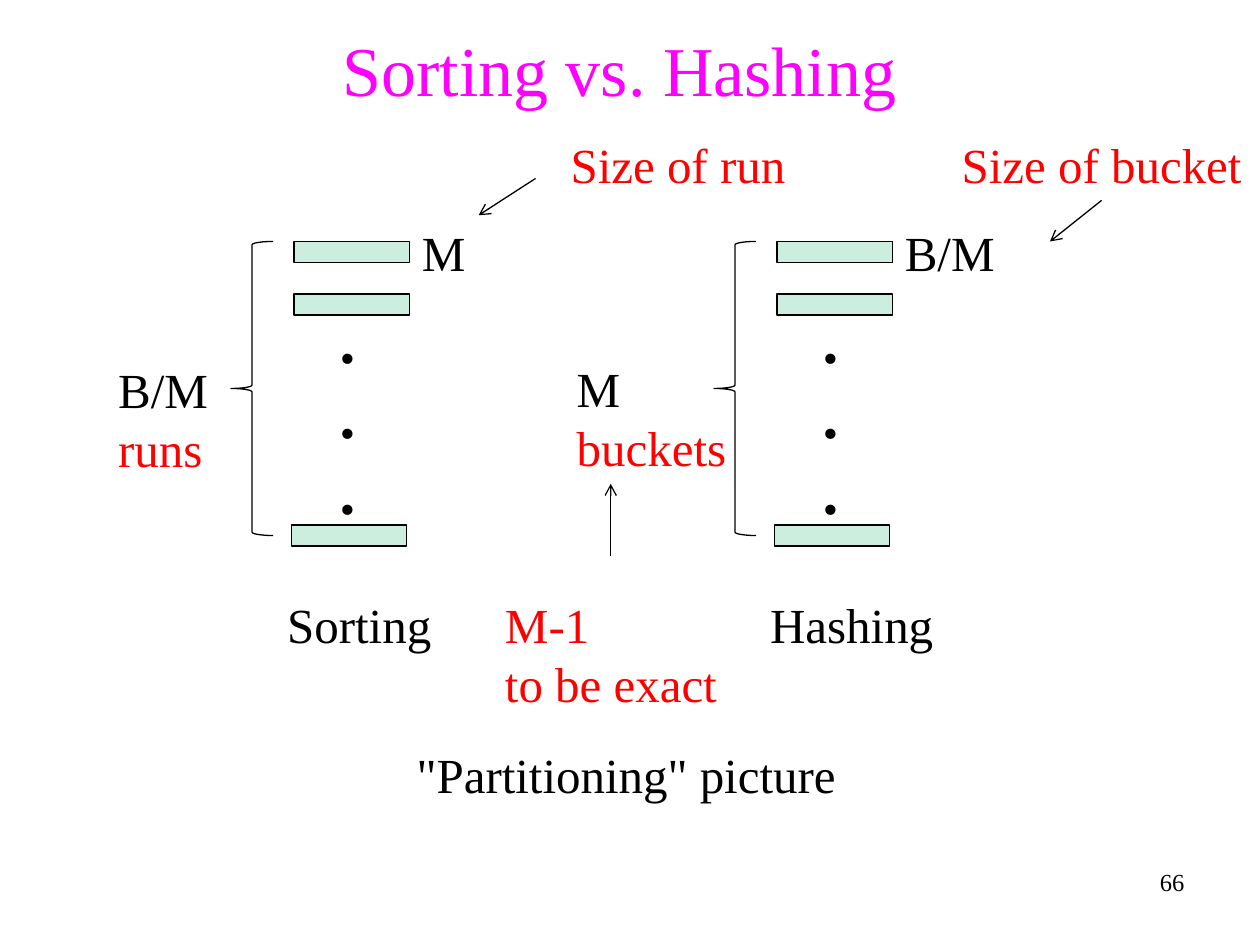
from lxml.etree import SubElement
from pptx import Presentation
from pptx.dml.color import RGBColor
from pptx.enum.shapes import MSO_CONNECTOR, MSO_SHAPE
from pptx.enum.text import MSO_ANCHOR, MSO_AUTO_SIZE, PP_ALIGN
from pptx.oxml.ns import qn
from pptx.util import Pt

FONT = "Times New Roman"
BLACK, RED, MAGENTA, MINT = "000000", "FF0000", "FF00FF", "CCEEDF"
LINE_WIDTH = 0.75
LINE_PITCH = 1.2
COLUMN_STEP = 276


def colour(value):
    return RGBColor.from_string(value)


def points(*values):
    return [Pt(value) for value in values]


def apply_format(target, values):
    for name, value in values.items():
        setattr(target, name, value)


def style_span(span, size, shade, bold=False):
    apply_format(span.font, {"name": FONT, "size": Pt(size), "bold": bold})
    span.font.color.rgb = colour(shade)


def style_line(line):
    line.width = Pt(LINE_WIDTH)
    line.color.rgb = colour(BLACK)


def set_title(page, text):
    title = page.shapes.title
    left, top, width, height = points(12, 12, 684, 54)
    apply_format(title, {"left": left, "top": top, "width": width, "height": height})
    apply_format(title.text_frame, {
        "auto_size": MSO_AUTO_SIZE.NONE,
        "vertical_anchor": MSO_ANCHOR.MIDDLE,
        "word_wrap": True,
    })
    paragraph = title.text_frame.paragraphs[0]
    paragraph.alignment = PP_ALIGN.CENTER
    span = paragraph.add_run()
    span.text = text
    style_span(span, 40, MAGENTA)


def add_text(page, frame, lines, size=28, bold=False, align=PP_ALIGN.LEFT, wrap=False):
    """Add a text box; lines holds one (text, colour) pair per paragraph."""
    box = page.shapes.add_textbox(*points(*frame))
    apply_format(box.text_frame, {
        "word_wrap": wrap,
        "auto_size": MSO_AUTO_SIZE.NONE if wrap else MSO_AUTO_SIZE.SHAPE_TO_FIT_TEXT,
    })
    for index, (text, shade) in enumerate(lines):
        paragraph = box.text_frame.add_paragraph() if index else box.text_frame.paragraphs[0]
        apply_format(paragraph, {"alignment": align, "line_spacing": Pt(size * LINE_PITCH)})
        span = paragraph.add_run()
        span.text = text
        style_span(span, size, shade, bold)


def add_bar(page, left, top):
    bar = page.shapes.add_shape(MSO_SHAPE.RECTANGLE, *points(left, top, 66, 12))
    bar.shadow.inherit = False
    bar.fill.solid()
    bar.fill.fore_color.rgb = colour(MINT)
    style_line(bar.line)


def add_brace(page, left):
    brace = page.shapes.add_shape(MSO_SHAPE.LEFT_BRACE, *points(left, 138, 24, 168))
    brace.shadow.inherit = False
    brace.adjustments[0] = 0.08
    brace.fill.background()
    style_line(brace.line)


def add_arrow(page, start, end):
    arrow = page.shapes.add_connector(MSO_CONNECTOR.STRAIGHT, *points(*start, *end))
    style_line(arrow.line)
    properties = arrow._element.spPr
    SubElement(properties.find(qn("a:ln")), qn("a:tailEnd"), type="arrow")
    SubElement(properties, qn("a:effectLst"))


def add_partitions(page, offset, name, name_width, size, size_width):
    """Draw one column: braced stack of partitions with its name and partition size."""
    add_text(page, (157 + offset, 336.5, name_width, 41), [(name, BLACK)])
    for left, top in ((168, 138), (168, 168), (166.5, 300)):
        add_bar(page, left + offset, top)
    add_text(page, (187 + offset, 168, 24, 137), [(".", BLACK)] * 3, size=36, bold=True)
    add_brace(page, 132 + offset)
    add_text(page, (234 + offset, 123.5, size_width, 41), [(size, BLACK)])


def main():
    deck = Presentation()
    deck.slide_width, deck.slide_height = points(720, 540)
    page = deck.slides.add_slide(deck.slide_layouts[5])

    set_title(page, "Sorting vs. Hashing")
    add_text(page, (534, 492, 150, 36), [("66", BLACK)], size=14,
             align=PP_ALIGN.RIGHT, wrap=True)

    add_partitions(page, 0, "Sorting", 98, "M", 41)
    add_partitions(page, COLUMN_STEP, "Hashing", 109, "B/M", 67)

    add_text(page, (60.5, 202, 67, 75), [("B/M", BLACK), ("runs", RED)])
    add_text(page, (322.5, 201.5, 102, 75), [("M", BLACK), ("buckets", RED)])
    add_text(page, (231, 422, 256, 41), [('"Partitioning" picture', BLACK)])
    add_text(page, (319, 73.5, 139, 41), [("Size of run", RED)])
    add_text(page, (542.5, 73.5, 177, 41), [("Size of bucket", RED)])
    add_text(page, (281.5, 336.5, 138, 75), [("M-1", RED), ("to be exact", RED)])

    add_arrow(page, (306, 102), (273.5, 123))
    add_arrow(page, (629.5, 114.5), (600, 138))
    add_arrow(page, (349, 318), (349, 276.5))

    deck.save("out.pptx")


if __name__ == "__main__":
    main()
